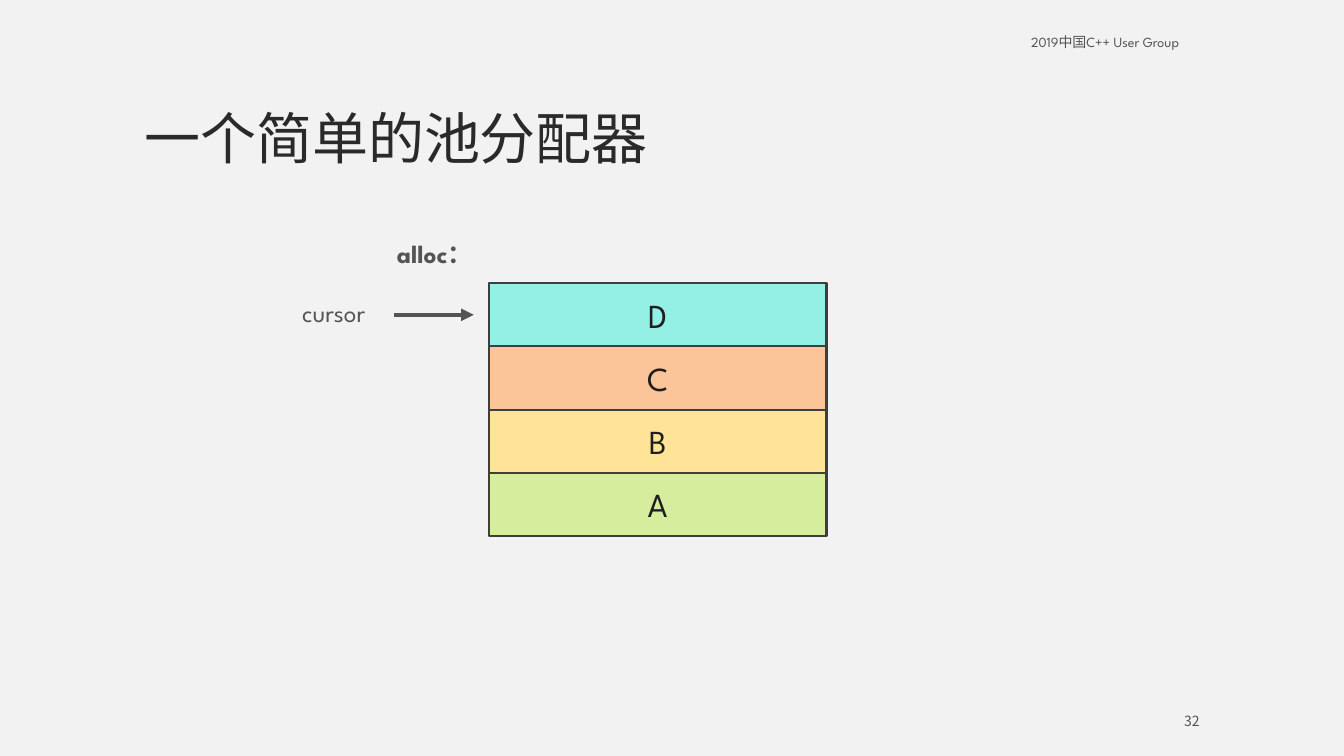
from lxml import etree
from pptx import Presentation
from pptx.dml.color import RGBColor
from pptx.enum import shapes, text
from pptx.oxml.ns import qn
from pptx.util import Pt

COLORS = {
    "background": "F2F2F2", "title": "2A2A2A", "body": "545454",
    "letter": "1E1E1E", "outline": "3E3E3E",
    "A": "D7ED9E", "B": "FFE497", "C": "FCC599", "D": "94F0E4",
}
LATIN, CJK = "League Spartan", "Noto Sans CJK SC"
LEFT, RIGHT = text.PP_ALIGN.LEFT, text.PP_ALIGN.RIGHT
TOP, MIDDLE, BOTTOM = text.MSO_ANCHOR.TOP, text.MSO_ANCHOR.MIDDLE, text.MSO_ANCHOR.BOTTOM

# Content: wording, box (left, top, width, height), size, font, colour,
# bold, alignment, anchor, wrap, line spacing
LABELS = [
    ("2019中国C++ User Group", (729.4, 21.6, 134.6, 18), 10, LATIN, "body", False, LEFT, TOP, False, 0.9),
    ("一个简单的池分配器", (96, 21.6, 768, 104.4), 40, CJK, "title", False, LEFT, BOTTOM, True, 0.9),
    ("32", (774, 507.6, 90, 14.4), 10, CJK, "body", False, RIGHT, MIDDLE, True, 1.0),
    ("cursor", (208.8, 211, 67, 26.6), 18, LATIN, "body", False, LEFT, TOP, False, 0.9),
    ("alloc：", (276.5, 169.2, 77, 26.6), 18, LATIN, "body", True, LEFT, TOP, False, 0.9),
]
BLOCKS = ["A", "B", "C", "D"]  # bottom to top
POOL_LEFT, POOL_TOP, BLOCK_WIDTH, BLOCK_HEIGHT = 349.2, 202.3, 241.2, 45.15
CURSOR_START, CURSOR_END = 281.5, 338.4


def rgb(name):
    return RGBColor.from_string(COLORS[name])


def write(frame, wording, size, face, color, bold, align, anchor):
    frame.vertical_anchor = anchor
    paragraph = frame.paragraphs[0]
    paragraph.text = wording
    paragraph.alignment = align
    font = paragraph.font
    font.size, font.name, font.bold = Pt(size), face, bold
    font.color.rgb = rgb(color)
    east_asian = etree.SubElement(paragraph.font._element, qn("a:ea"))
    east_asian.set("typeface", CJK)
    return paragraph


deck = Presentation()
deck.slide_width, deck.slide_height = Pt(960), Pt(540)
slide = deck.slides.add_slide(deck.slide_layouts[6])
slide.background.fill.solid()
slide.background.fill.fore_color.rgb = rgb("background")

# Header, title, page number and pool labels
for wording, box, size, face, color, bold, align, anchor, wrap, spacing in LABELS:
    frame = slide.shapes.add_textbox(*map(Pt, box)).text_frame
    frame.word_wrap = wrap
    if not wrap:
        frame.auto_size = text.MSO_AUTO_SIZE.SHAPE_TO_FIT_TEXT
    write(frame, wording, size, face, color, bold, align, anchor).line_spacing = spacing

# Pool blocks, stacked upwards
for level, letter in enumerate(BLOCKS):
    top = POOL_TOP + (len(BLOCKS) - 1 - level) * BLOCK_HEIGHT
    block = slide.shapes.add_shape(
        shapes.MSO_SHAPE.RECTANGLE,
        Pt(POOL_LEFT), Pt(top), Pt(BLOCK_WIDTH), Pt(BLOCK_HEIGHT))
    block.shadow.inherit = False
    block.fill.solid()
    block.fill.fore_color.rgb = rgb(letter)
    block.line.color.rgb = rgb("outline")
    block.line.width = Pt(1.5)
    write(block.text_frame, letter, 24, LATIN, "letter", False, text.PP_ALIGN.CENTER, MIDDLE)

# Cursor arrow, level with the middle of the top block
cursor_y = Pt(POOL_TOP + BLOCK_HEIGHT / 2)
cursor = slide.shapes.add_connector(
    shapes.MSO_CONNECTOR.STRAIGHT, Pt(CURSOR_START), cursor_y, Pt(CURSOR_END), cursor_y)
cursor.line.color.rgb = rgb("body")
cursor.line.width = Pt(3)
etree.SubElement(cursor.line._get_or_add_ln(), qn("a:tailEnd")).set("type", "triangle")
etree.SubElement(cursor._element.spPr, qn("a:effectLst"))

deck.save("out.pptx")
